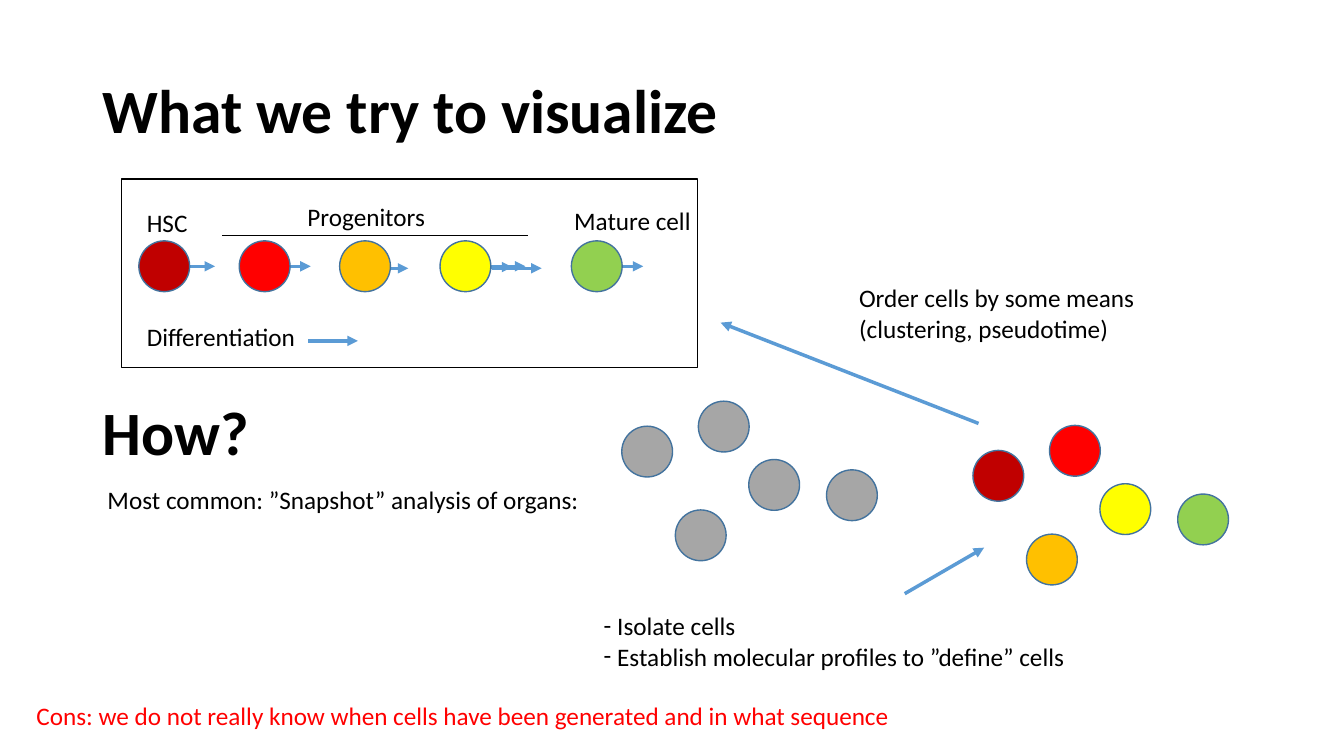
from dataclasses import dataclass

from lxml.etree import SubElement
from pptx import Presentation
from pptx.dml.color import RGBColor
from pptx.enum.shapes import MSO_CONNECTOR, MSO_SHAPE
from pptx.enum.text import MSO_ANCHOR, MSO_AUTO_SIZE, PP_ALIGN
from pptx.oxml.ns import qn
from pptx.util import Cm, Pt


@dataclass(frozen=True)
class Theme:
    """Colours, font and type sizes of the slide."""
    font: str = "Calibri"
    heading: int = 44
    body: int = 18
    ink: str = "000000"
    warning: str = "FF0000"
    arrow: str = "5B9BD5"
    outline: str = "43739E"
    unknown: str = "A6A6A6"
    hsc: str = "C00000"
    early: str = "FF0000"
    middle: str = "FFC000"
    late: str = "FFFF00"
    mature: str = "92D050"


class SlideBuilder:
    """Draws styled elements on one slide."""

    def __init__(self, slide, theme):
        """Keep the slide and its theme."""
        self.slide, self.theme = slide, theme

    def set_text(self, holder, box, lines, size, color, bold=False, spacing=1.0):
        """Place a text holder and fill it with formatted paragraphs."""
        holder.left, holder.top, holder.width, holder.height = map(Cm, box)
        frame = holder.text_frame
        frame.text = "\n".join(lines)
        frame.word_wrap = True
        frame.auto_size = MSO_AUTO_SIZE.NONE
        frame.vertical_anchor = MSO_ANCHOR.MIDDLE if bold else MSO_ANCHOR.TOP
        for paragraph in frame.paragraphs:
            paragraph.alignment = PP_ALIGN.LEFT
            paragraph.line_spacing = spacing
            paragraph.space_before = Pt(0)
            font = paragraph.font
            font.name, font.size, font.bold = self.theme.font, Pt(size), bold
            font.color.rgb = RGBColor.from_string(color)

    def new_box(self):
        """Add an empty text box."""
        return self.slide.shapes.add_textbox(0, 0, 0, 0)

    def heading(self, holder, top, words):
        """Set a bold heading across the slide."""
        self.set_text(holder, (2.33, top, 29.21, 3.68), [words],
                      self.theme.heading, self.theme.ink, bold=True, spacing=0.9)

    def label(self, left, top, width, *lines, color=None):
        """Add body text in a new box."""
        box = (left, top, width, 0.25 + 0.77 * len(lines))
        self.set_text(self.new_box(), box, lines, self.theme.body,
                      color or self.theme.ink)

    def dashed_list(self, holder, box, items):
        """Set a list with dashes as bullets."""
        self.set_text(holder, box, items, self.theme.body, self.theme.ink)
        for paragraph in holder.text_frame.paragraphs:
            properties = paragraph._p.get_or_add_pPr()
            properties.set("marL", str(Cm(0.34)))
            properties.set("indent", str(-Cm(0.34)))
            SubElement(properties, qn("a:buFont"), typeface=self.theme.font)
            SubElement(properties, qn("a:buChar"), char="-")

    def outline(self, kind, box, color, width, fill=None):
        """Add an outlined preset shape, filled if a colour is given."""
        shape = self.slide.shapes.add_shape(kind, *map(Cm, box))
        shape.shadow.inherit = False
        if fill:
            shape.fill.solid()
            shape.fill.fore_color.rgb = RGBColor.from_string(fill)
        else:
            shape.fill.background()
        shape.line.color.rgb = RGBColor.from_string(color)
        shape.line.width = Pt(width)

    def cell(self, left, top, fill):
        """Add one round cell."""
        self.outline(MSO_SHAPE.OVAL, (left, top, 1.28, 1.28),
                     self.theme.outline, 1, fill)

    def line(self, start, end, color, width):
        """Add a straight line without shadow."""
        connector = self.slide.shapes.add_connector(
            MSO_CONNECTOR.STRAIGHT, *map(Cm, (*start, *end)))
        connector.line.color.rgb = RGBColor.from_string(color)
        connector.line.width = Pt(width)
        SubElement(connector.element.spPr, qn("a:effectLst"))
        return connector

    def arrow(self, start, end):
        """Add a line with a triangular head at its end."""
        connector = self.line(start, end, self.theme.arrow, 2.5)
        stroke = connector.element.spPr.find(qn("a:ln"))
        SubElement(stroke, qn("a:tailEnd"), type="triangle")


theme = Theme()
deck = Presentation()
deck.slide_width, deck.slide_height = Cm(33.87), Cm(19.05)
slide = deck.slides.add_slide(deck.slide_layouts[1])
title, steps = slide.placeholders
builder = SlideBuilder(slide, theme)

builder.heading(title, 1.01, "What we try to visualize")
builder.heading(builder.new_box(), 9.14, "How?")

builder.outline(MSO_SHAPE.RECTANGLE, (3.06, 4.51, 14.52, 4.75), theme.ink, 1)
differentiation_arrows = [
    (4.17, 6.71), (6.58, 6.71), (9.04, 6.76), (11.66, 6.73),
    (11.99, 6.71), (12.4, 6.76), (14.96, 6.71), (7.77, 8.59)]
for left, level in differentiation_arrows:
    builder.arrow((left, level), (left + 1.25, level))

immature_stages = [theme.hsc, theme.early, theme.middle, theme.late]
for stage, color in enumerate(immature_stages):
    builder.cell(3.5 + 2.53 * stage, 6.07, color)
builder.cell(14.4, 6.07, theme.mature)

builder.line((5.6, 5.94), (13.3, 5.94), theme.ink, 0.5)
builder.label(3.45, 5.11, 1.8, "HSC")
builder.label(7.5, 4.95, 3.8, "Progenitors")
builder.label(14.22, 5.05, 3.8, "Mature cell")
builder.label(3.45, 7.98, 4.6, "Differentiation")

snapshot_cells = [
    (15.67, 10.74, theme.hsc), (17.6, 10.11, theme.early),
    (17.02, 12.85, theme.middle), (20.83, 11.84, theme.mature),
    (18.87, 11.58, theme.late)]
for left, top, identity in snapshot_cells:
    builder.cell(left, top, theme.unknown)
    builder.cell(left + 8.85, top + 0.61, identity)

builder.arrow((22.8, 14.96), (24.8, 13.8))
builder.arrow((24.66, 10.67), (18.16, 8.13))
builder.label(2.46, 12.09, 12.8, "Most common: ”Snapshot” analysis of organs:")
builder.label(21.4, 7.0, 7.8, "Order cells by some means",
              "(clustering, pseudotime)")
builder.dashed_list(steps, (14.96, 15.26, 12.6, 1.79), [
    "Isolate cells",
    "Establish molecular profiles to ”define” cells"])
builder.label(0.67, 17.53, 23, "Cons: we do not really know when cells have "
              "been generated and in what sequence", color=theme.warning)

deck.save("out.pptx")
